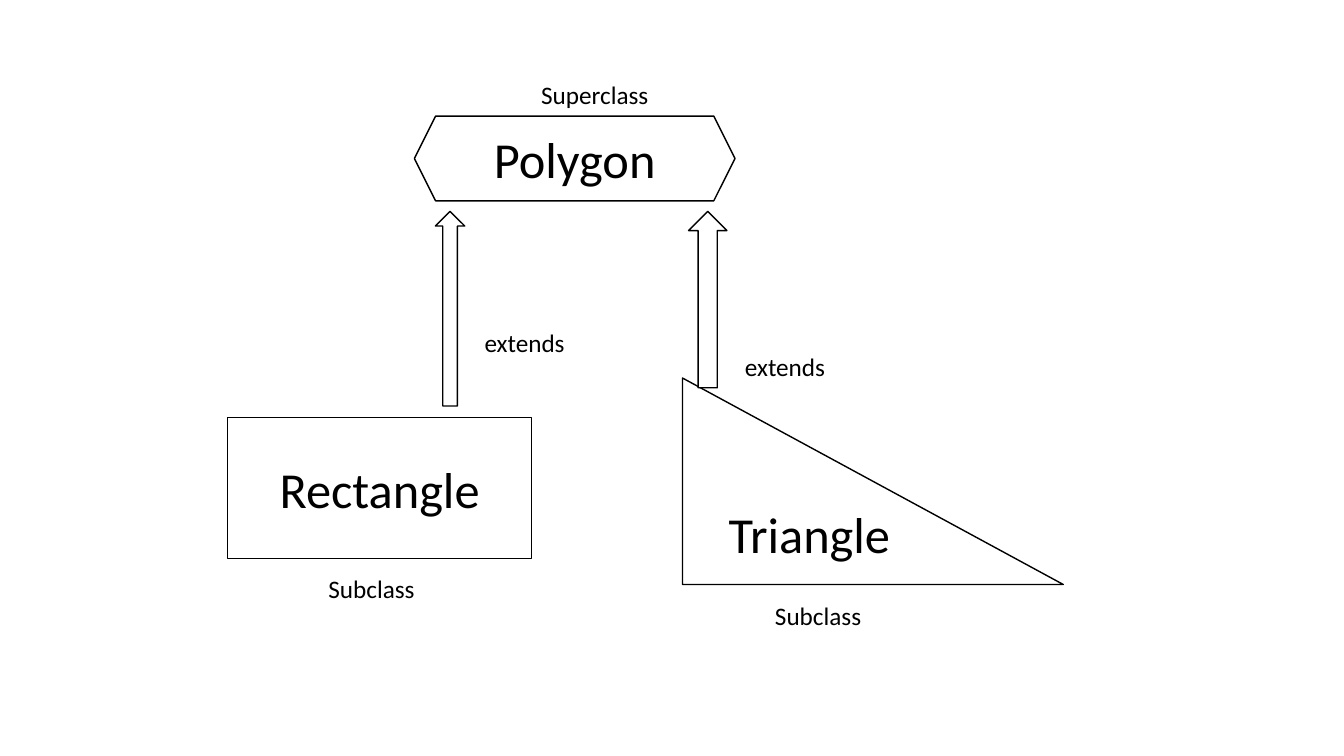
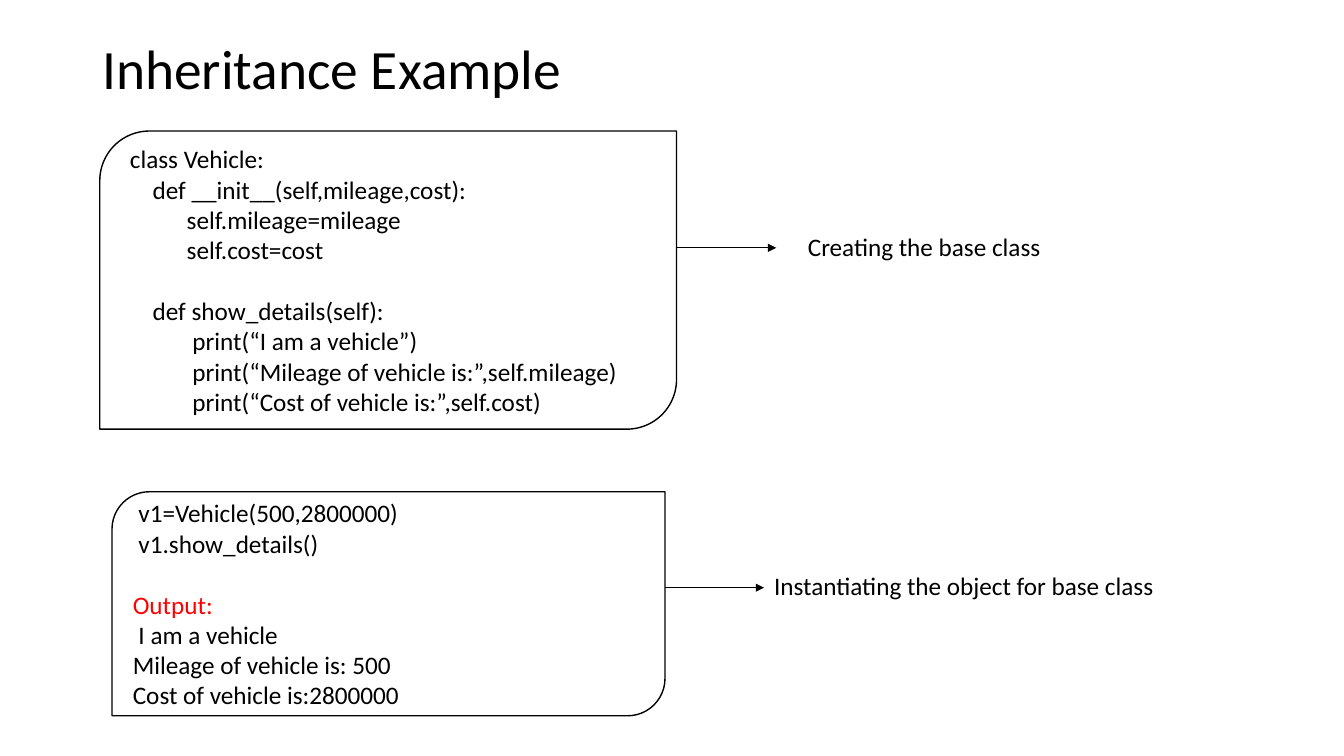
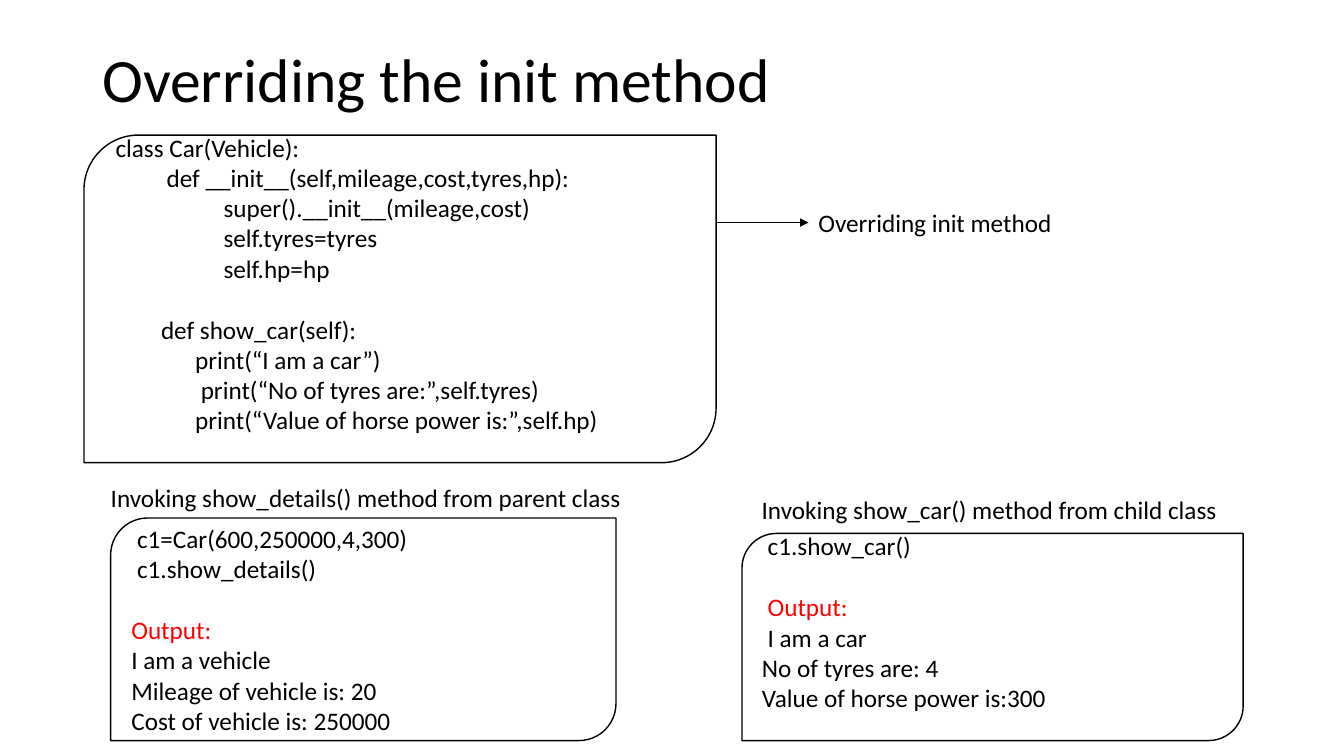
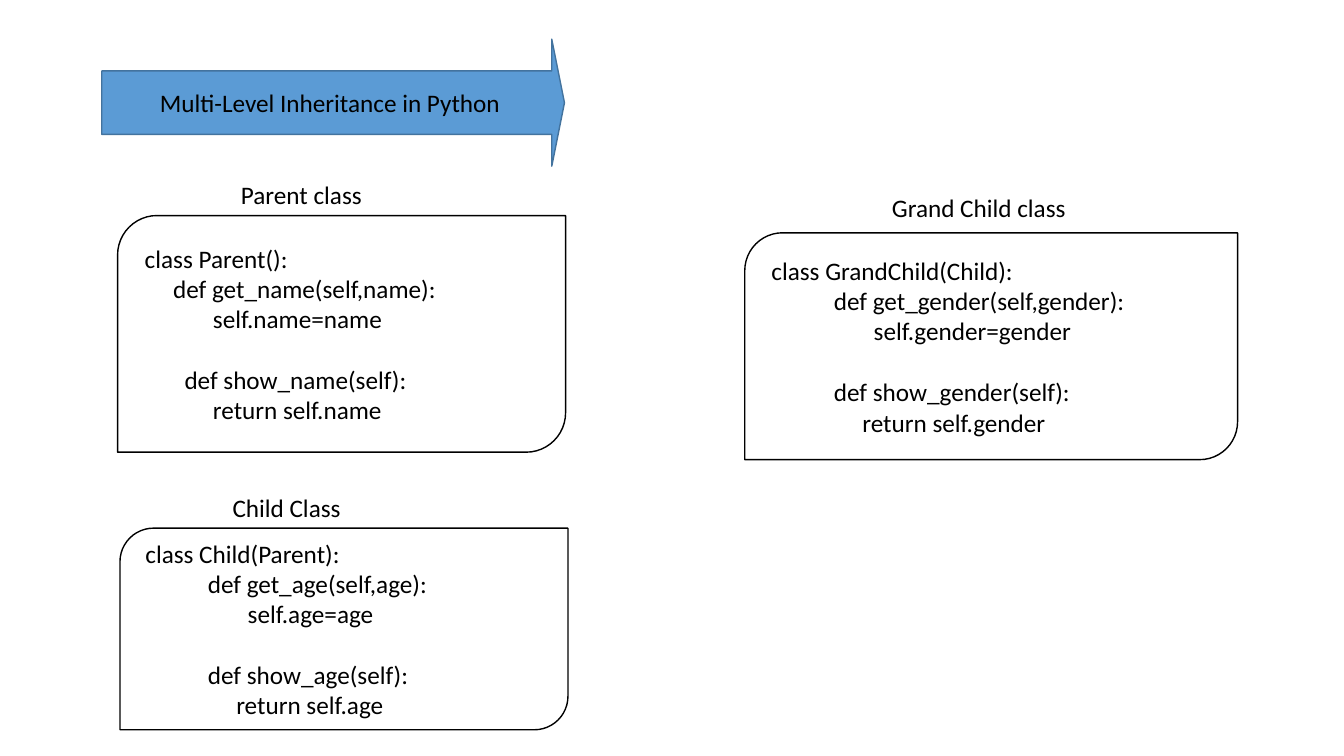
import lxml.etree
import pptx
import pptx.dml.color
import pptx.enum.shapes
import pptx.enum.text
import pptx.oxml
import pptx.oxml.ns
import pptx.util

Pt = pptx.util.Pt
SHAPE = pptx.enum.shapes.MSO_SHAPE
ALIGN = pptx.enum.text.PP_ALIGN
MIDDLE = pptx.enum.text.MSO_ANCHOR.MIDDLE
COLORS = {
    "text": "000000",
    "outline": "000000",
    "paper": "FFFFFF",
    "output": "FF0000",
    "banner": "5B9BD5",
    "banner_edge": "43739E",
}
COLORS = {name: pptx.dml.color.RGBColor.from_string(value) for name, value in COLORS.items()}
FONT = "Calibri"
BODY_SIZE = 18
CLASS_SIZE = 36
LINE_HEIGHT = 22
LABEL_HEIGHT = 29


def write_text(shape, text, size=BODY_SIZE, align=ALIGN.LEFT):
    frame = shape.text_frame
    paragraph = None
    gap = 0
    for line in text.split("\n"):
        if not line:
            gap += LINE_HEIGHT
            continue
        paragraph = frame.add_paragraph() if paragraph else frame.paragraphs[0]
        paragraph.add_run().text = line
        paragraph.alignment = align
        if gap:
            paragraph.space_before = Pt(gap)
            gap = 0
        paragraph.font.name = FONT
        paragraph.font.size = Pt(size)
        paragraph.font.color.rgb = COLORS["output" if line.strip() == "Output:" else "text"]
    if gap:
        frame.margin_bottom += Pt(gap)
    return frame


def add_box(slide, kind, box, text="", size=BODY_SIZE, align=ALIGN.CENTER, fill="paper", line="outline"):
    shape = slide.shapes.add_shape(kind, *map(Pt, box))
    shape.shadow.inherit = False
    shape.fill.solid()
    shape.fill.fore_color.rgb = COLORS[fill]
    shape.line.color.rgb = COLORS[line]
    shape.line.width = Pt(1)
    if text:
        write_text(shape, text, size, align).vertical_anchor = MIDDLE
    return shape


presentation = pptx.Presentation()
presentation.slide_width = Pt(960)
presentation.slide_height = Pt(540)
hierarchy, base_class, overriding, multi_level = [
    presentation.slides.add_slide(presentation.slide_layouts[6]) for _ in range(4)
]

titles = [
    (base_class, "Inheritance Example", 44.5, 39.6),
    (overriding, "Overriding the init method", 60, 44),
]
for slide, text, height, size in titles:
    title = slide.shapes.add_textbox(Pt(66), Pt(29), Pt(828), Pt(height))
    frame = write_text(title, text, size)
    frame.word_wrap = True
    frame.vertical_anchor = MIDDLE
    frame.paragraphs[0].line_spacing = 0.9

class_shapes = [
    (SHAPE.HEXAGON, (296, 83, 229, 60.5), "Polygon"),
    (SHAPE.RECTANGLE, (162.7, 298, 217, 101), "Rectangle"),
    (SHAPE.RIGHT_TRIANGLE, (487.5, 270, 272, 147.5), "Triangle"),
    (SHAPE.UP_ARROW, (311, 151, 21, 139), ""),
    (SHAPE.UP_ARROW, (491.8, 151, 27.4, 126), ""),
]
for kind, box, text in class_shapes:
    add_box(hierarchy, kind, box, text, CLASS_SIZE)

banner = add_box(
    multi_level, SHAPE.RIGHT_ARROW, (72.7, 28, 330.5, 90.7),
    "Multi-Level Inheritance in Python", fill="banner", line="banner_edge",
)
banner.adjustments[0] = 0.5
banner.adjustments[1] = 0.1

code_boxes = [
    (base_class, (71.3, 93.6, 412, 213), """ class Vehicle:
     def __init__(self,mileage,cost):
           self.mileage=mileage
           self.cost=cost

     def show_details(self):
            print(“I am a vehicle”)
            print(“Mileage of vehicle is:”,self.mileage)
            print(“Cost of vehicle is:”,self.cost)"""),
    (base_class, (80, 351.3, 395, 160), """ v1=Vehicle(500,2800000)
 v1.show_details()

Output:
 I am a vehicle
Mileage of vehicle is: 500
Cost of vehicle is:2800000"""),
    (overriding, (60, 96.5, 451.5, 234), """ class Car(Vehicle):
          def __init__(self,mileage,cost,tyres,hp):
                    super().__init__(mileage,cost)
                    self.tyres=tyres
                    self.hp=hp

         def show_car(self):
               print(“I am a car”)
                print(“No of tyres are:”,self.tyres)
               print(“Value of horse power is:”,self.hp)
"""),
    (overriding, (79, 370, 361, 159), """ c1=Car(600,250000,4,300)
 c1.show_details()

Output:
I am a vehicle
Mileage of vehicle is: 20
Cost of vehicle is: 250000"""),
    (overriding, (530, 381, 358, 148), """ c1.show_car()

 Output:
 I am a car
No of tyres are: 4
Value of horse power is:300
"""),
    (multi_level, (84, 154, 320, 169), """ class Parent():
      def get_name(self,name):
             self.name=name

        def show_name(self):
             return self.name"""),
    (multi_level, (85.7, 377.3, 320, 144), """ class Child(Parent):
            def get_age(self,age):
                   self.age=age

            def show_age(self):
                 return self.age"""),
    (multi_level, (532, 166.3, 352, 162), """ class GrandChild(Child):
            def get_gender(self,gender):
                   self.gender=gender

            def show_gender(self):
                 return self.gender"""),
]
for slide, box, code in code_boxes:
    add_box(slide, SHAPE.ROUND_2_DIAG_RECTANGLE, box, code, align=ALIGN.LEFT)

labels = [
    (hierarchy, "Superclass", 379.5, 53.3, 92),
    (hierarchy, "extends", 339, 230.5, 73),
    (hierarchy, "extends", 525, 247.7, 73),
    (hierarchy, "Subclass", 227.5, 406, 77),
    (hierarchy, "Subclass", 546.5, 425.5, 77),
    (base_class, "Creating the base class", 570, 162, 183),
    (base_class, "Instantiating the object for base class", 545.8, 404, 289),
    (overriding, "Overriding init method", 577.5, 144.7, 183),
    (overriding, "Invoking show_details() method from parent class", 72, 341.3, 383),
    (overriding, "Invoking show_car() method from child class", 537, 349.2, 343),
    (multi_level, "Parent class", 165, 124.5, 101.5),
    (multi_level, "Child Class", 159, 347.8, 93),
    (multi_level, "Grand Child class", 630, 134, 140),
]
for slide, text, left, top, width in labels:
    label = slide.shapes.add_textbox(Pt(left), Pt(top), Pt(width), Pt(LABEL_HEIGHT))
    frame = write_text(label, text)
    frame.word_wrap = False
    frame.auto_size = pptx.enum.text.MSO_AUTO_SIZE.SHAPE_TO_FIT_TEXT

pointers = [
    (base_class, 483.3, 554.5, 177),
    (base_class, 475, 545.8, 419.8),
    (overriding, 511.5, 577.5, 159),
]
for slide, start, end, height in pointers:
    pointer = slide.shapes.add_connector(
        pptx.enum.shapes.MSO_CONNECTOR.STRAIGHT, Pt(start), Pt(height), Pt(end), Pt(height)
    )
    pointer.line.color.rgb = COLORS["outline"]
    pointer.line.width = Pt(0.5)
    arrowhead = lxml.etree.SubElement(pointer.line._get_or_add_ln(), pptx.oxml.ns.qn("a:tailEnd"))
    arrowhead.set("type", "triangle")
    lxml.etree.SubElement(pointer._element.spPr, pptx.oxml.ns.qn("a:effectLst"))

presentation.save("out.pptx")
